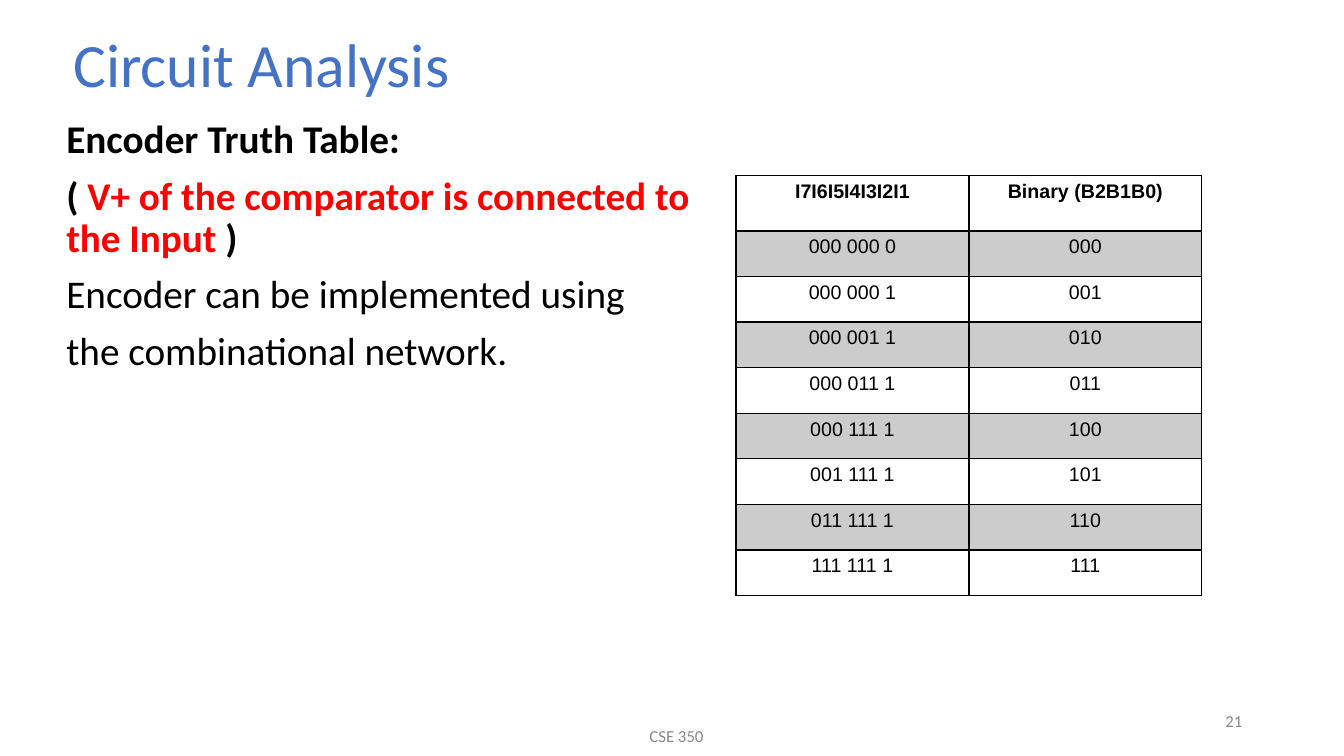
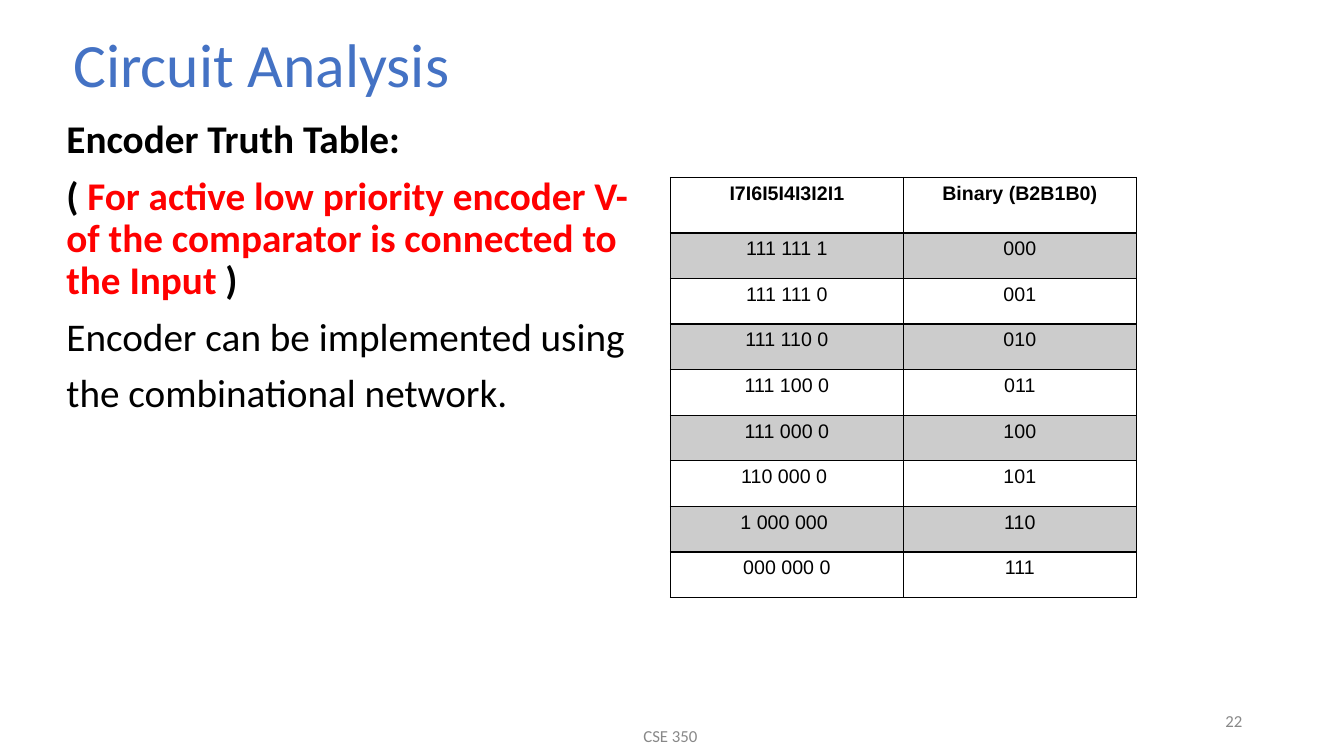
from dataclasses import dataclass

from lxml import etree
from pptx import Presentation
from pptx import util as u
from pptx.dml.color import RGBColor
from pptx.enum import text
from pptx.oxml.ns import qn


@dataclass(frozen=True)
class Theme:
    title_color: str = "4472C4"
    body_color: str = "000000"
    accent_color: str = "FF0000"
    footer_color: str = "888888"
    band_color: str = "CCCCCC"
    plain_color: str = "FFFFFF"
    border_color: str = "000000"
    text_font: str = "Calibri"
    table_font: str = "Arial"
    title_size: int = 44
    body_size: int = 28
    table_size: int = 14
    footer_size: int = 12


class Deck:
    def __init__(self, theme):
        self.theme = theme
        self.presentation = Presentation()
        self.presentation.slide_width = u.Inches(13.33)
        self.presentation.slide_height = u.Inches(7.5)
        self.slide = None

    def add_slide(self, number, footer_left):
        """Start a slide with the shared title, footer and page number."""
        theme = self.theme
        blank = self.presentation.slide_layouts[6]
        self.slide = self.presentation.slides.add_slide(blank)
        frame = self.add_box(0.63, 0.29, 11.5, 0.76, text.MSO_ANCHOR.MIDDLE)
        paragraph = frame.paragraphs[0]
        paragraph.line_spacing = 0.9
        self.add_run(paragraph, "Circuit Analysis", theme.title_size, theme.title_color)
        self.add_footer(footer_left, 7.1, 4.5, "CSE 350", text.PP_ALIGN.CENTER)
        self.add_footer(9.42, 6.95, 3, str(number), text.PP_ALIGN.RIGHT)

    def add_box(self, left, top, width, height, anchor=text.MSO_ANCHOR.TOP):
        box = self.slide.shapes.add_textbox(*map(u.Inches, (left, top, width, height)))
        frame = box.text_frame
        frame.word_wrap = True
        frame.vertical_anchor = anchor
        return frame

    def add_run(self, paragraph, wording, size, color, bold=False, font=None):
        run = paragraph.add_run()
        run.text = wording
        run.font.name = font or self.theme.text_font
        run.font.size = u.Pt(size)
        run.font.bold = bold
        run.font.color.rgb = RGBColor.from_string(color)

    def add_footer(self, left, top, width, wording, alignment):
        frame = self.add_box(left, top, width, 0.4, text.MSO_ANCHOR.MIDDLE)
        paragraph = frame.paragraphs[0]
        paragraph.alignment = alignment
        self.add_run(paragraph, wording, self.theme.footer_size, self.theme.footer_color)

    def add_body(self, width, height, condition):
        theme = self.theme
        black, red = theme.body_color, theme.accent_color
        lines = [
            [("Encoder Truth Table:", black, True)],
            [("( ", black, True), (condition, red, True), (")", black, True)],
            [("Encoder can be implemented using", black, False)],
            [("the combinational network.", black, False)],
        ]
        frame = self.add_box(0.44, 1.14, width, height)
        for index, line in enumerate(lines):
            paragraph = frame.add_paragraph() if index else frame.paragraphs[0]
            paragraph.line_spacing = 0.9
            if index:
                paragraph.space_before = u.Pt(10)
            properties = paragraph._p.get_or_add_pPr()
            properties.set("marL", str(u.Inches(0.12)))
            properties.set("indent", "0")
            for wording, color, bold in line:
                self.add_run(paragraph, wording, theme.body_size, color, bold)

    def add_truth_table(self, left, top, codes):
        """Pair each input code with its position as a three-bit number."""
        rows = [("I7I6I5I4I3I2I1", "Binary (B2B1B0)")]
        rows += [(code, format(value, "03b")) for value, code in enumerate(codes)]
        width, height, header_height = 4.62, 4.17, 0.55
        graphic = self.slide.shapes.add_table(
            len(rows), 2, *map(u.Inches, (left, top, width, height)))
        table = graphic.table
        for column in table.columns:
            column.width = u.Inches(width / 2)
        for index, row in enumerate(rows):
            row_height = (height - header_height) / len(codes) if index else header_height
            table.rows[index].height = u.Inches(row_height)
            for column, wording in enumerate(row):
                self.fill_cell(table.cell(index, column), wording, index)

    def fill_cell(self, cell, wording, row):
        theme = self.theme
        self.add_borders(cell, top=2 if row == 1 else 1, bottom=2 if row == 0 else 1)
        cell.fill.solid()
        color = theme.band_color if row % 2 else theme.plain_color
        cell.fill.fore_color.rgb = RGBColor.from_string(color)
        paragraph = cell.text_frame.paragraphs[0]
        paragraph.alignment = text.PP_ALIGN.CENTER
        self.add_run(paragraph, wording, theme.table_size, theme.body_color,
                     row == 0, theme.table_font)

    def add_borders(self, cell, top, bottom):
        properties = cell._tc.get_or_add_tcPr()
        for side, points in (("L", 1), ("R", 1), ("T", top), ("B", bottom)):
            line = etree.SubElement(properties, qn("a:ln" + side), w=str(u.Pt(points)))
            fill = etree.SubElement(line, qn("a:solidFill"))
            etree.SubElement(fill, qn("a:srgbClr"), val=self.theme.border_color)


def main():
    deck = Deck(Theme())

    deck.add_slide(21, footer_left=4.46)
    deck.add_body(7.07, 5.58, "V+ of the comparator is connected to the Input ")
    deck.add_truth_table(7.3, 1.74, [
        "000 000 0", "000 000 1", "000 001 1", "000 011 1",
        "000 111 1", "001 111 1", "011 111 1", "111 111 1"])

    deck.add_slide(22, footer_left=4.4)
    deck.add_body(5.99, 5.47, "For active low priority encoder V- of the comparator "
                              "is connected to the Input ")
    deck.add_truth_table(6.65, 1.76, [
        "111 111 1", "111 111 0", "111 110 0", "111 100 0",
        "111 000 0", "110 000 0 ", "1 000 000 ", "000 000 0"])

    deck.presentation.save("out.pptx")


if __name__ == "__main__":
    main()
